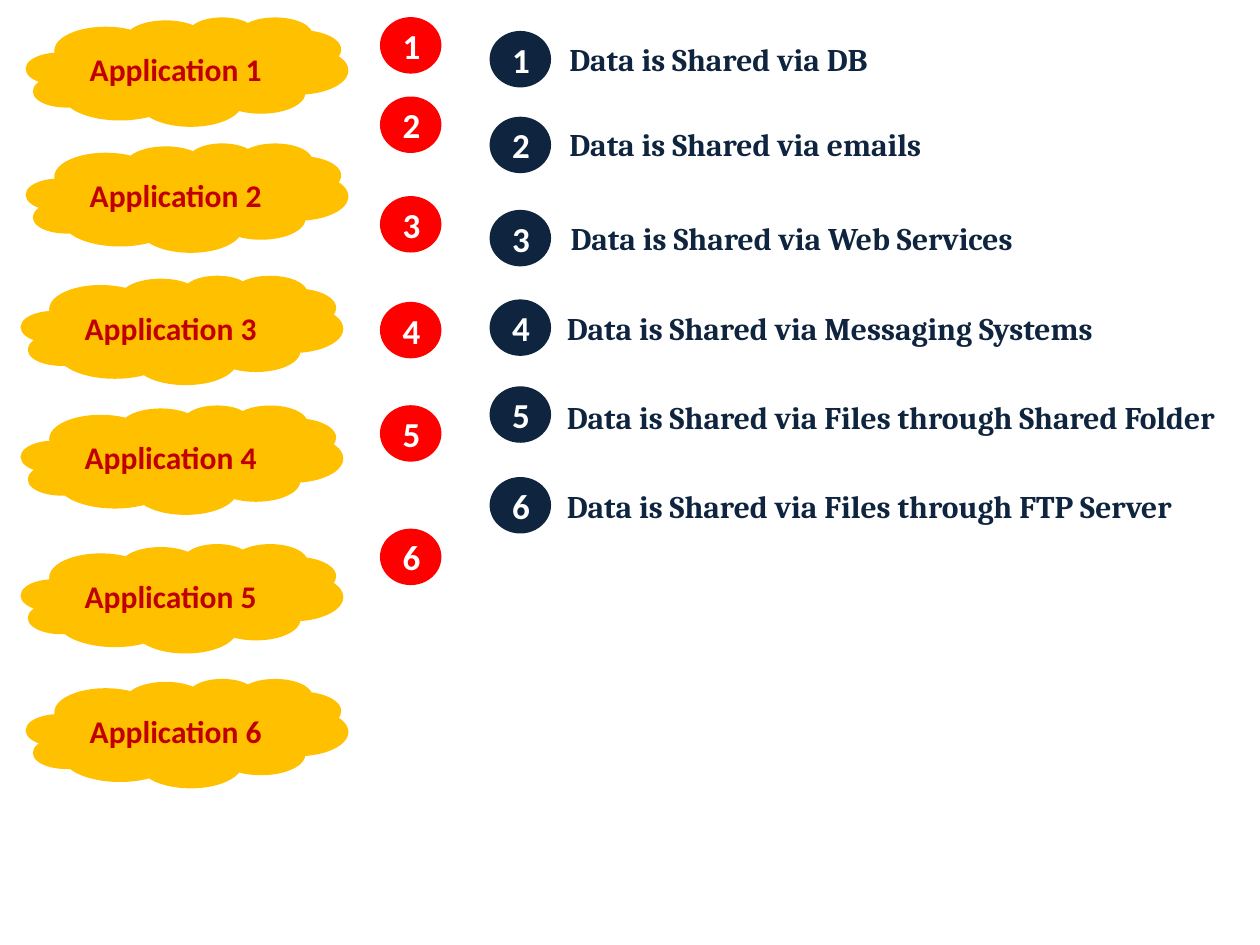
from dataclasses import dataclass

from pptx import Presentation
from pptx import util as u
from pptx.dml.color import RGBColor
from pptx.enum import shapes, text


@dataclass(frozen=True)
class Theme:
    gold: str = "FFC000"
    crimson: str = "C00000"
    red: str = "FF0000"
    navy: str = "0F243E"
    white: str = "FFFFFF"
    body: str = "Calibri"
    serif: str = "Cambria"
    text_size: int = 18
    number_size: int = 20
    line: int = 2


THEME = Theme()

# Column positions, row tops and sizes, in inches
CLOUD_SIZE = (2.53, 0.84)
BADGE_SIZE = (0.46, 0.42)
LABEL_HEIGHT = 0.4
RED_COLUMN, NAVY_COLUMN = 3.03, 3.9
CLOUDS = [(0.22, 0.15), (0.22, 1.15), (0.18, 2.2),
          (0.18, 3.23), (0.18, 4.33), (0.22, 5.4)]
RED_ROWS = [0.15, 0.78, 1.57, 2.41, 3.23, 4.21]
NAVY_ROWS = [0.26, 0.94, 1.68, 2.39, 3.08, 3.8]

# Left, top, width and the sharing method
LABELS = [
    (4.42, 0.27, 2.74, "DB"),
    (4.42, 0.94, 3.12, "emails"),
    (4.43, 1.69, 3.91, "Web Services"),
    (4.4, 2.4, 4.74, "Messaging Systems"),
    (4.4, 3.11, 5.58, "Files through Shared Folder"),
    (4.4, 3.82, 5.33, "Files through FTP Server"),
]


def rgb(color):
    return RGBColor.from_string(color)


def write(tf, words, font, size, color):
    p = tf.paragraphs[0]
    p.text = words
    p.font.name = font
    p.font.size = u.Pt(size)
    p.font.bold = True
    p.font.color.rgb = rgb(color)
    return p


def add_filled(s, kind, left, top, size, fill, words, text_size, color):
    sp = s.shapes.add_shape(kind, *map(u.Inches, (left, top, *size)))
    sp.shadow.inherit = False
    sp.fill.solid()
    sp.fill.fore_color.rgb = rgb(fill)
    sp.line.color.rgb = rgb(fill)
    sp.line.width = u.Pt(THEME.line)
    tf = sp.text_frame
    tf.vertical_anchor = text.MSO_ANCHOR.MIDDLE
    p = write(tf, words, THEME.body, text_size, color)
    p.alignment = text.PP_ALIGN.CENTER


def add_cloud(s, left, top, words):
    add_filled(s, shapes.MSO_SHAPE.CLOUD, left, top, CLOUD_SIZE,
               THEME.gold, words, THEME.text_size, THEME.crimson)


def add_badges(s, left, rows, fill):
    for number, top in enumerate(rows, 1):
        add_filled(s, shapes.MSO_SHAPE.FLOWCHART_CONNECTOR, left, top,
                   BADGE_SIZE, fill, str(number), THEME.number_size,
                   THEME.white)


def add_label(s, left, top, width, words):
    box = s.shapes.add_textbox(*map(u.Inches, (left, top, width, LABEL_HEIGHT)))
    tf = box.text_frame
    tf.word_wrap = False
    tf.auto_size = text.MSO_AUTO_SIZE.SHAPE_TO_FIT_TEXT
    write(tf, words, THEME.serif, THEME.text_size, THEME.navy)


def main():
    prs = Presentation()
    prs.slide_width, prs.slide_height = u.Inches(10), u.Inches(7.5)
    s = prs.slides.add_slide(prs.slide_layouts[6])

    # Applications
    for number, (left, top) in enumerate(CLOUDS, 1):
        add_cloud(s, left, top, f"Application {number}")

    # Numbered markers
    add_badges(s, RED_COLUMN, RED_ROWS, THEME.red)
    add_badges(s, NAVY_COLUMN, NAVY_ROWS, THEME.navy)

    # Legend
    for left, top, width, method in LABELS:
        add_label(s, left, top, width, f"Data is Shared via {method}")

    prs.save("out.pptx")


main()
